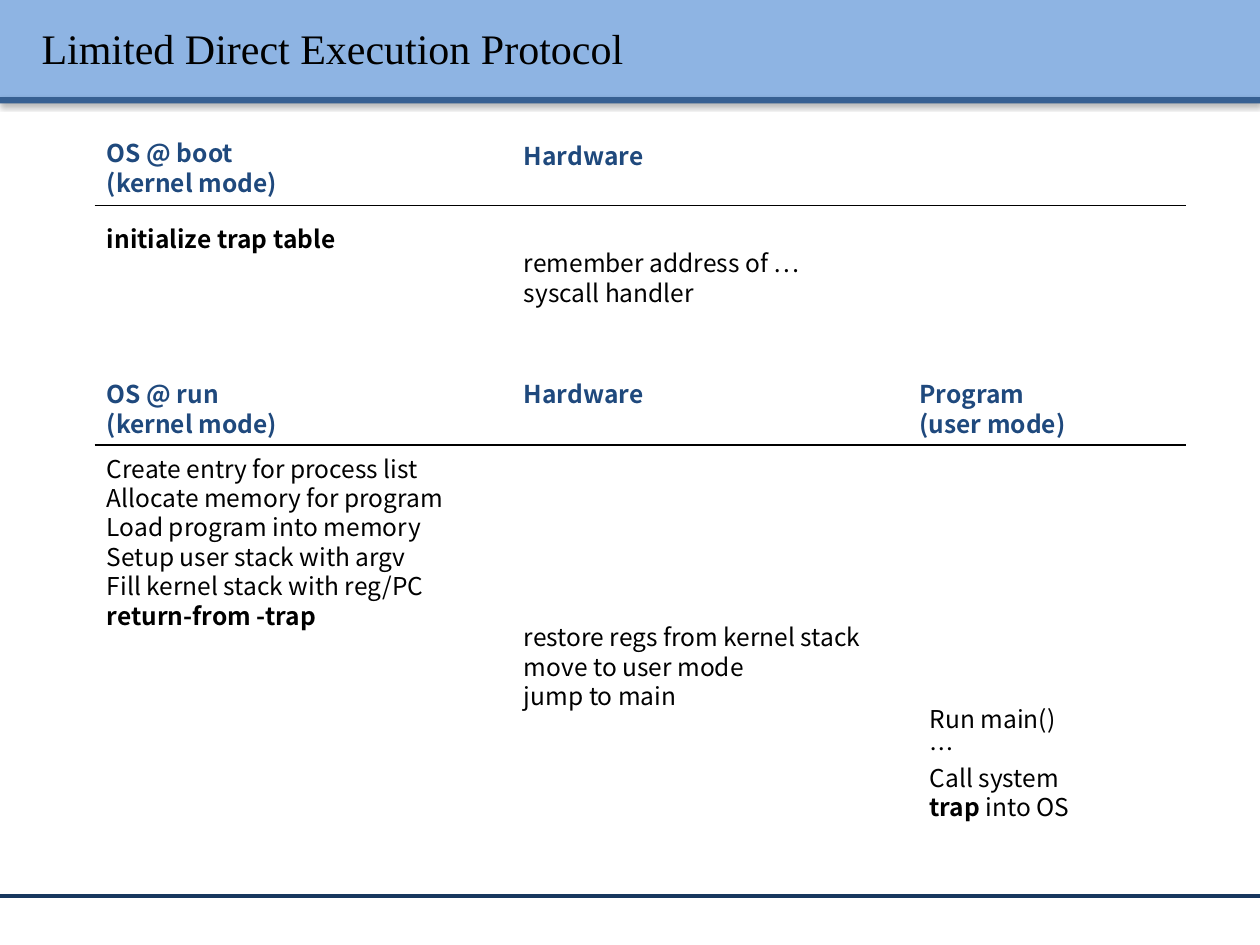
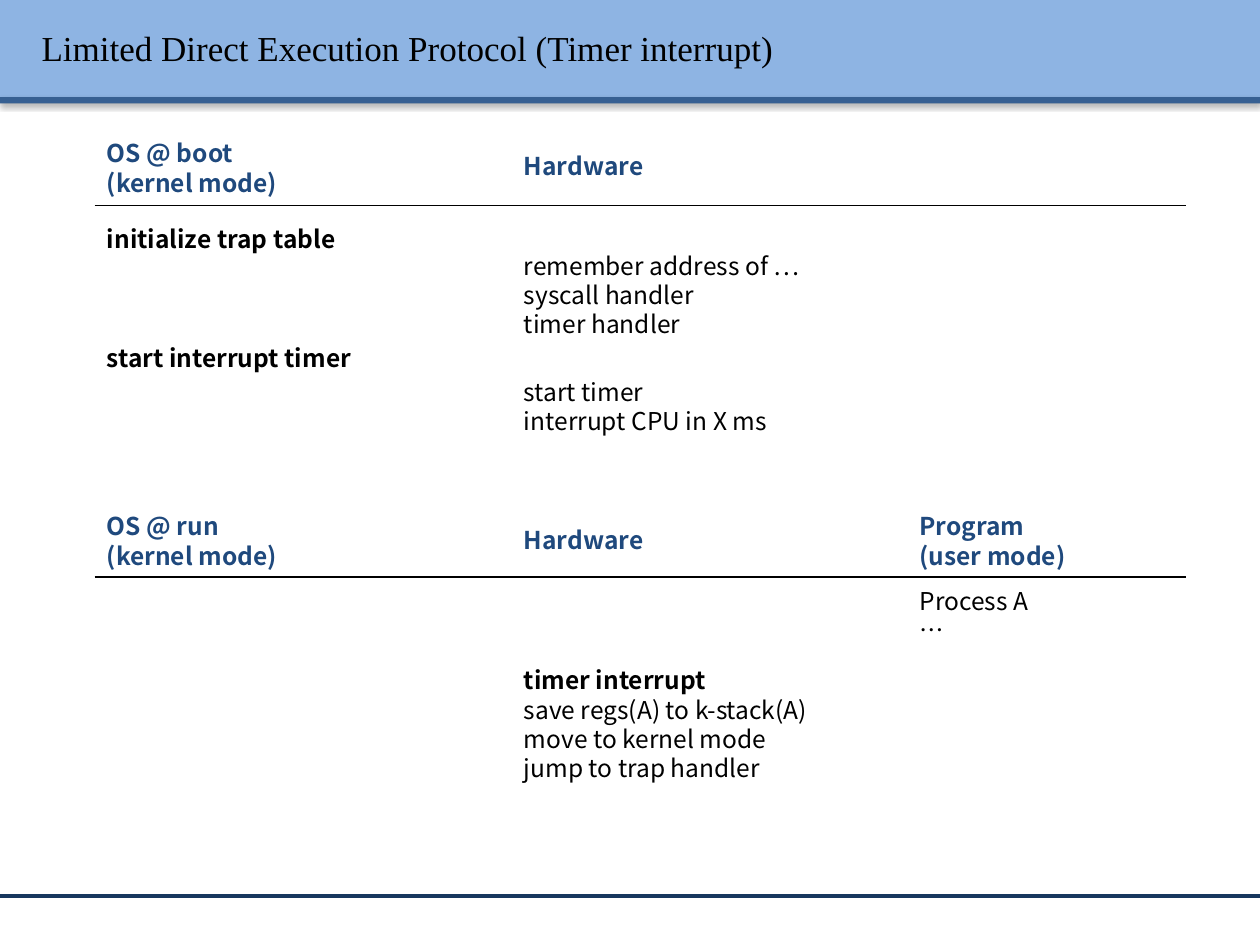
from lxml import etree
from pptx import Presentation
from pptx.dml.color import RGBColor as RGB
from pptx.enum.shapes import MSO_CONNECTOR as CONN, MSO_SHAPE as SHAPE
from pptx.enum.text import MSO_ANCHOR as ANCHOR, MSO_AUTO_SIZE as AUTO, PP_ALIGN as ALIGN
from pptx.oxml.ns import qn
from pptx.util import Inches, Pt

COLORS = {
    "band": "8EB4E3",
    "stripe": "376092",
    "footer": "17375E",
    "heading": "1F497D",
    "text": "000000",
}
TITLE_FONT = "Times New Roman"
BODY_FONT = "Noto Sans CJK KR"
OS_X, HARDWARE_X, PROGRAM_X = 0.75, 4.06, 7.2
RIGHT_X = 9.41
LINE_H = 0.235


def color(name):
    return RGB.from_string(COLORS[name])


def add_shadow(effects, blur, dist, alpha):
    shadow = etree.SubElement(
        effects, qn("a:outerShdw"), blurRad=str(Pt(blur)), dist=str(Pt(dist)),
        dir="5400000" if blur == 3.1 else "2700000", algn="t", rotWithShape="0")
    clr = etree.SubElement(shadow, qn("a:srgbClr"), val=COLORS["text"])
    etree.SubElement(clr, qn("a:alpha"), val=str(alpha * 1000))


def write_run(p, text, font=BODY_FONT, size=14, fill="text", bold=False):
    r = p.add_run()
    r.text = text
    r.font.size = Pt(size)
    r.font.bold = bold
    r.font.color.rgb = color(fill)
    r.font.name = font
    return r


def add_text(slide, x, y, w, lines, bold_lines=(), **fmt):
    h = 0.1 + LINE_H * len(lines)
    tf = slide.shapes.add_textbox(Inches(x), Inches(y), Inches(w), Inches(h)).text_frame
    tf.word_wrap = True
    tf.auto_size = AUTO.SHAPE_TO_FIT_TEXT
    for i, line in enumerate(lines):
        p = tf.paragraphs[0] if i == 0 else tf.add_paragraph()
        parts = [(line, line in bold_lines)] if isinstance(line, str) else line
        for text, bold in parts:
            write_run(p, text, **{"bold": bold, **fmt})


def add_band(slide, y, h, fill):
    sp = slide.shapes.add_shape(SHAPE.RECTANGLE, 0, Inches(y), Inches(10), Inches(h))
    sp.fill.solid()
    sp.fill.fore_color.rgb = color(fill)
    sp.line.fill.background()
    sp.shadow.inherit = False
    add_shadow(sp._element.spPr.find(qn("a:effectLst")), 3.1, 1.6, 38)


def add_rule(slide, x1, x2, y, fill, width):
    line = slide.shapes.add_connector(
        CONN.STRAIGHT, Inches(x1), Inches(y), Inches(x2), Inches(y))
    line.line.color.rgb = color(fill)
    line.line.width = Pt(width)
    etree.SubElement(line._element.spPr, qn("a:effectLst"))


def add_slide(prs, title, size):
    slide = prs.slides.add_slide(prs.slide_layouts[5])
    add_band(slide, 0, 0.77, "band")
    add_band(slide, 0.77, 0.05, "stripe")
    add_rule(slide, 0, 10, 7.11, "footer", 2)
    sp = slide.shapes.title
    slide.shapes._spTree.append(sp._element)
    sp.left, sp.top, sp.width, sp.height = (Inches(v) for v in (0.23, 0.06, 9.61, 0.64))
    tf = sp.text_frame
    tf.word_wrap = True
    tf.auto_size = AUTO.NONE
    tf.vertical_anchor = ANCHOR.MIDDLE
    p = tf.paragraphs[0]
    p.alignment = ALIGN.LEFT
    r = write_run(p, title, font=TITLE_FONT, size=size)
    effects = etree.Element(qn("a:effectLst"))
    r.font._element.find(qn("a:solidFill")).addnext(effects)
    add_shadow(effects, 2, 1, 100)
    return slide


def add_header(slide, phase, y, hardware_y, rule_y, program=False):
    style = {"fill": "heading", "bold": True}
    add_text(slide, OS_X, y, 1.89, [f"OS @ {phase}", "(kernel mode)"], **style)
    add_text(slide, HARDWARE_X, hardware_y, 1.65, ["Hardware"], **style)
    if program:
        add_text(slide, PROGRAM_X, y, 1.65, ["Program", "(user mode)"], **style)
    add_rule(slide, OS_X, RIGHT_X, rule_y, "text", 1)


def build_protocol(prs):
    s = add_slide(prs, "Limited Direct Execution Protocol", 24)
    add_header(s, "boot", 1.05, 1.07, 1.63)
    add_text(s, OS_X, 1.73, 2.53, ["initialize trap table"], bold=True)
    add_text(s, HARDWARE_X, 1.92, 2.53, ["remember address of …", "syscall handler"])
    add_header(s, "run", 2.96, 2.96, 3.53, program=True)
    add_text(s, OS_X, 3.55, 2.99, [
        "Create entry for process list",
        "Allocate memory for program",
        "Load program into memory",
        "Setup user stack with argv",
        "Fill kernel stack with reg/PC",
        "return-from -trap",
    ], bold_lines=["return-from -trap"])
    add_text(s, HARDWARE_X, 4.89, 2.99, [
        "restore regs from kernel stack", "move to user mode", "jump to main"])
    add_text(s, 7.28, 5.54, 2.52, [
        "Run main()", "…", "Call system", [("trap", True), (" into OS", False)]])


def build_timer_interrupt(prs):
    s = add_slide(prs, "Limited Direct Execution Protocol (Timer interrupt)", 20)
    add_header(s, "boot", 1.05, 1.15, 1.63)
    add_text(s, OS_X, 1.73, 2.53, ["initialize trap table"], bold=True)
    add_text(s, HARDWARE_X, 1.94, 2.53, [
        "remember address of …", "syscall handler", "timer handler"])
    add_text(s, OS_X, 2.67, 2.53, ["start interrupt timer"], bold=True)
    add_text(s, HARDWARE_X, 2.94, 2.53, ["start timer", "interrupt CPU in X ms"])
    add_header(s, "run", 4.01, 4.12, 4.58, program=True)
    add_text(s, PROGRAM_X, 4.6, 2.53, ["Process A", "…"])
    add_text(s, HARDWARE_X, 5.23, 2.53, [
        "timer interrupt",
        "save regs(A) to k-stack(A)",
        "move to kernel mode",
        "jump to trap handler",
    ], bold_lines=["timer interrupt"])


def main():
    prs = Presentation()
    prs.slide_width, prs.slide_height = Inches(10), Inches(7.5)
    build_protocol(prs)
    build_timer_interrupt(prs)
    prs.save("out.pptx")


if __name__ == "__main__":
    main()
